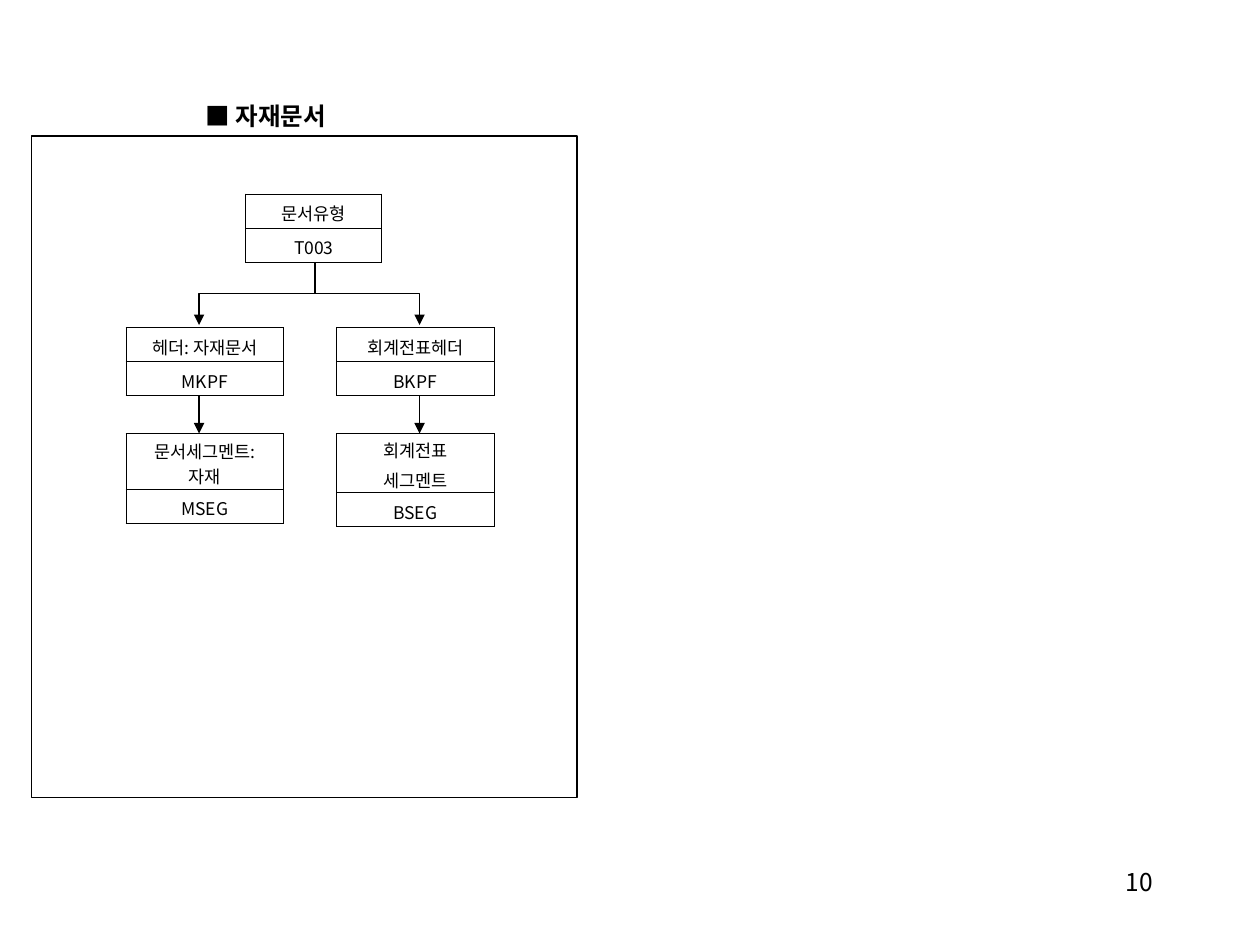
from dataclasses import dataclass

from lxml import etree
from pptx import Presentation
from pptx.dml.color import RGBColor
from pptx.enum.shapes import MSO_CONNECTOR, MSO_SHAPE
from pptx.enum.text import MSO_ANCHOR, PP_ALIGN
from pptx.oxml.ns import qn
from pptx.util import Inches, Pt

LEFT, CENTER, RIGHT = PP_ALIGN.LEFT, PP_ALIGN.CENTER, PP_ALIGN.RIGHT
TOP, MIDDLE = MSO_ANCHOR.TOP, MSO_ANCHOR.MIDDLE


@dataclass(frozen=True)
class Theme:
    font: str = "Noto Sans CJK KR"
    ink: RGBColor = RGBColor(0, 0, 0)
    heading: float = 14
    body: float = 10
    line: float = 0.75
    border: float = 0.45
    paragraph_gap: float = 2.5


THEME = Theme()
HEADING = "■ 자재문서"
PAGE_NUMBER = "10"

ROW = 0.27
COLUMNS = (1, 2.67)
HEADER_TOP, SEGMENT_TOP = 2.6, 3.44
# label, table name, left, top, width, label row height
ENTITIES = [
    ("문서유형", "T003", 1.95, 1.54, 1.08, ROW),
    ("헤더: 자재문서", "MKPF", COLUMNS[0], HEADER_TOP, 1.25, ROW),
    ("회계전표헤더", "BKPF", COLUMNS[1], HEADER_TOP, 1.25, ROW),
    ("문서세그멘트: 자재", "MSEG", COLUMNS[0], SEGMENT_TOP, 1.25, 0.44),
    ("회계전표\n세그멘트", "BSEG", COLUMNS[1], SEGMENT_TOP, 1.25, 0.47),
]
FLOWS = (1.58, 3.33)
TRUNK_X, TRUNK_TOP, BRANCH_Y, BRANCH_END = 2.5, 2.08, 2.33, 2.58
FLOW_START = 3.14


def box(*lengths):
    return [Inches(length) for length in lengths]


def set_text(frame, text, size, align, bold=False):
    frame.text = text
    for index, paragraph in enumerate(frame.paragraphs):
        paragraph.alignment = align
        paragraph.space_before = Pt(THEME.paragraph_gap if index else 0)
        for run in paragraph.runs:
            run.font.name = THEME.font
            run.font.size = Pt(size)
            run.font.bold = bold
            run.font.color.rgb = THEME.ink
            east_asian = etree.SubElement(run._r.rPr, qn("a:ea"))
            east_asian.set("typeface", THEME.font)


def add_borders(cell):
    """Draw all four sides; borders must precede the fill in the cell XML."""
    properties = cell._tc.get_or_add_tcPr()
    for index, side in enumerate(("lnL", "lnR", "lnT", "lnB")):
        border = etree.Element(qn(f"a:{side}"), w=str(int(Pt(THEME.border))))
        fill = etree.SubElement(border, qn("a:solidFill"))
        etree.SubElement(fill, qn("a:srgbClr"), val=str(THEME.ink))
        properties.insert(index, border)


def add_entity(slide, label, table_name, left, top, width, label_height):
    area = box(left, top, width, label_height + ROW)
    table = slide.shapes.add_table(2, 1, *area).table
    table.first_row = table.horz_banding = False
    table.columns[0].width = Inches(width)
    for row, text, height in zip(table.rows, (label, table_name), (label_height, ROW)):
        row.height = Inches(height)
        cell = row.cells[0]
        cell.fill.background()
        add_borders(cell)
        cell.margin_left = cell.margin_right = Inches(0.1)
        cell.margin_top, cell.margin_bottom = Inches(0.03), 0
        cell.vertical_anchor = MIDDLE
        set_text(cell.text_frame, text, THEME.body, CENTER)


def style_line(shape, *arrow_ends):
    shape.line.color.rgb = THEME.ink
    shape.line.width = Pt(THEME.line)
    for end in arrow_ends:
        etree.SubElement(shape.line._get_or_add_ln(), qn(f"a:{end}"), type="triangle")


def add_line(slide, start, finish, *arrow_ends):
    line = slide.shapes.add_connector(
        MSO_CONNECTOR.STRAIGHT, *box(*start, *finish))
    style_line(line, *arrow_ends)
    etree.SubElement(line._element.spPr, qn("a:effectLst"))


def add_branch(slide):
    """Bracket from the document type down to both headers."""
    first, last = FLOWS
    corners = [(first, BRANCH_Y), (last, BRANCH_Y), (last, BRANCH_END)]
    builder = slide.shapes.build_freeform(*box(first, BRANCH_END))
    builder.add_line_segments([box(*corner) for corner in corners], close=False)
    branch = builder.convert_to_shape()
    branch.shadow.inherit = False
    branch.fill.background()
    style_line(branch, "headEnd", "tailEnd")
    add_line(slide, (TRUNK_X, BRANCH_Y), (TRUNK_X, TRUNK_TOP))


def main():
    deck = Presentation()
    deck.slide_width, deck.slide_height = box(10, 7.5)
    slide = deck.slides.add_slide(deck.slide_layouts[5])

    frame = slide.shapes.add_shape(MSO_SHAPE.RECTANGLE, *box(0.25, 1.08, 4.33, 5.25))
    frame.shadow.inherit = False
    frame.fill.background()
    style_line(frame)

    heading = slide.shapes.title
    heading.left, heading.top, heading.width, heading.height = box(1.53, 0.75, 1.4, 0.34)
    heading.text_frame.word_wrap = True
    heading.text_frame.vertical_anchor = TOP
    set_text(heading.text_frame, HEADING, THEME.heading, LEFT, bold=True)

    for entity in ENTITIES:
        add_entity(slide, *entity)
    for x in FLOWS:
        add_line(slide, (x, FLOW_START), (x, SEGMENT_TOP), "tailEnd")
    add_branch(slide)

    page_number = slide.shapes.add_textbox(*box(7.17, 6.83, 2.08, 0.5))
    page_number.text_frame.word_wrap = True
    set_text(page_number.text_frame, PAGE_NUMBER, THEME.heading, RIGHT)

    deck.save("out.pptx")


if __name__ == "__main__":
    main()
